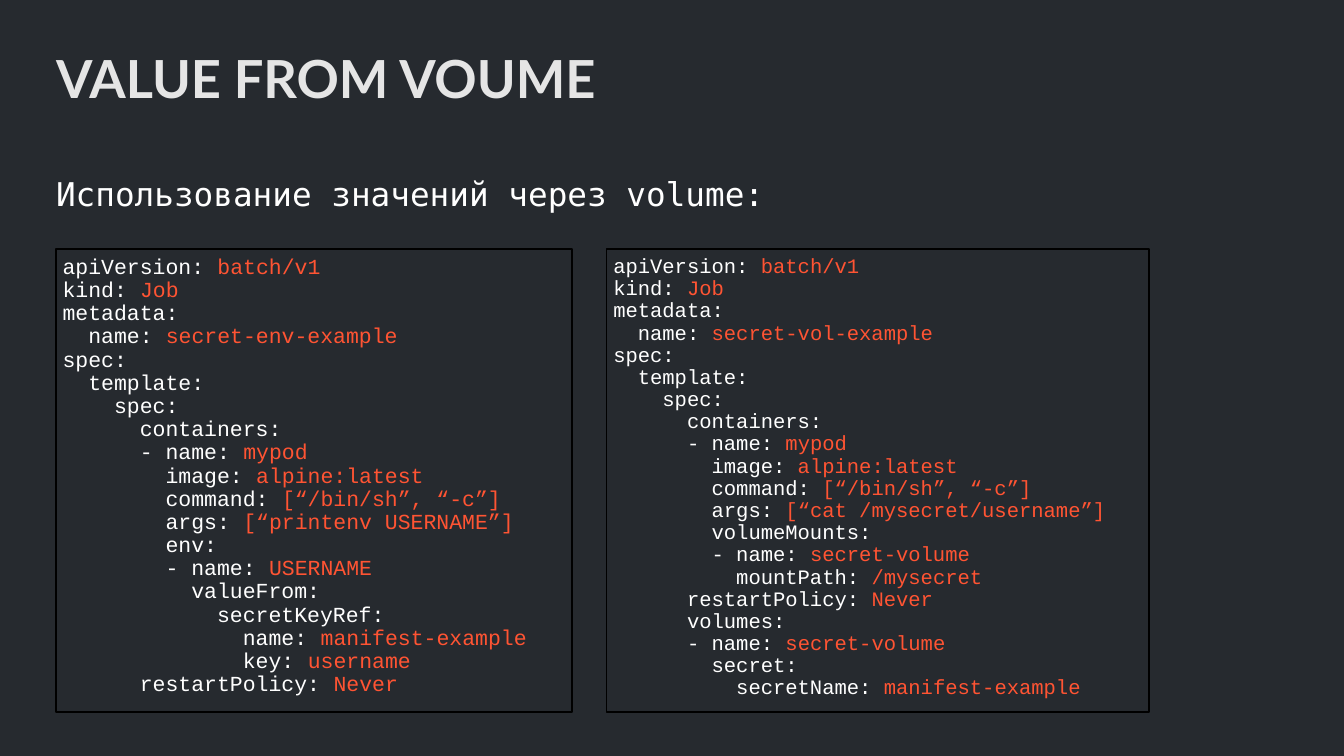
from lxml import etree
from pptx import Presentation
from pptx import util as u
from pptx.dml import color
from pptx.enum import shapes, text
from pptx.oxml import ns

COLORS = {
    "background": "262A2F",
    "title": "E5E5E5",
    "key": "FFFFFF",
    "value": "FF5433",
    "border": "000000",
}

ENV_MANIFEST = """\
apiVersion: batch/v1
kind: Job
metadata:
  name: secret-env-example
spec:
  template:
    spec:
      containers:
      - name: mypod
        image: alpine:latest
        command: [“/bin/sh”, “-c”]
        args: [“printenv USERNAME”]
        env:
        - name: USERNAME
          valueFrom:
            secretKeyRef:
              name: manifest-example
              key: username
      restartPolicy: Never"""

VOLUME_MANIFEST = """\
apiVersion: batch/v1
kind: Job
metadata:
  name: secret-vol-example
spec:
  template:
    spec:
      containers:
      - name: mypod
        image: alpine:latest
        command: [“/bin/sh”, “-c”]
        args: [“cat /mysecret/username”]
        volumeMounts:
        - name: secret-volume
          mountPath: /mysecret
      restartPolicy: Never
      volumes:
      - name: secret-volume
        secret:
          secretName: manifest-example"""


def rgb(name):
    return color.RGBColor.from_string(COLORS[name])


def write_text(shape, content, *, font, size, key="key", bold=False, spacing=1.0, inset=0):
    """Write one paragraph per line, with whatever follows ': ' in the value colour."""
    frame = shape.text_frame
    frame.word_wrap = True
    frame.auto_size = text.MSO_AUTO_SIZE.NONE
    frame.vertical_anchor = text.MSO_ANCHOR.TOP
    frame.margin_left = frame.margin_right = u.Pt(inset)
    frame.margin_top = frame.margin_bottom = u.Pt(inset)
    for index, line in enumerate(content.splitlines()):
        paragraph = frame.add_paragraph() if index else frame.paragraphs[0]
        properties = paragraph._p.get_or_add_pPr()
        properties.set("marL", "0")
        properties.set("indent", "0")
        etree.SubElement(properties, ns.qn("a:buNone"))
        paragraph.alignment = text.PP_ALIGN.LEFT
        paragraph.line_spacing = spacing
        paragraph.space_before = paragraph.space_after = u.Pt(0)
        label, separator, value = line.partition(": ")
        for part, tone in ((label + separator, key), (value, "value")):
            if part:
                run = paragraph.add_run()
                run.text = part
                run.font.name = font
                run.font.size = u.Pt(size)
                run.font.bold = bold
                run.font.color.rgb = rgb(tone)


presentation = Presentation()
presentation.slide_width = u.Pt(1440)
presentation.slide_height = u.Pt(810)
slide = presentation.slides.add_slide(presentation.slide_layouts[1])
slide.background.fill.solid()
slide.background.fill.fore_color.rgb = rgb("background")

# Title and lead line
title, lead = slide.placeholders
for placeholder, top, height in ((title, 61, 142), (lead, 165, 73.5)):
    placeholder.left, placeholder.top = u.Pt(60), u.Pt(top)
    placeholder.width, placeholder.height = u.Pt(1290), u.Pt(height)
write_text(title, "VALUE FROM VOUME", font="Lato", size=56.2, key="title",
           bold=True, spacing=u.Pt(56.3))
write_text(lead, "Использование значений через volume:",
           font="DejaVu Sans Mono", size=35, spacing=1.5)

# Manifests side by side
for left, width, size, manifest in (
    (60, 553, 23, ENV_MANIFEST),
    (650, 581, 22, VOLUME_MANIFEST),
):
    box = slide.shapes.add_shape(shapes.MSO_SHAPE.RECTANGLE, u.Pt(left), u.Pt(267),
                                 u.Pt(width), u.Pt(496))
    box.shadow.inherit = False
    box.fill.background()
    box.line.color.rgb = rgb("border")
    box.line.width = u.Pt(1.5)
    write_text(box, manifest, font="Courier New", size=size, spacing=0.9, inset=7.2)

presentation.save("out.pptx")
